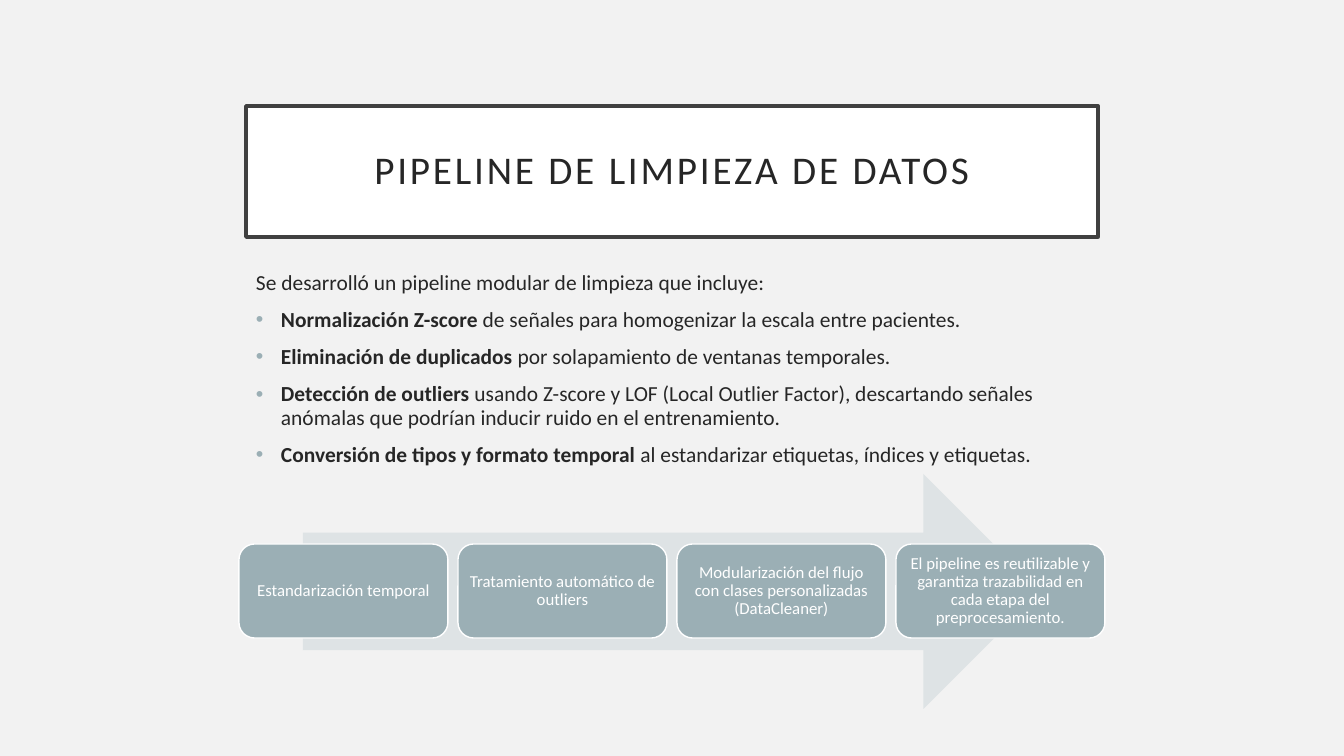
import pptx
import pptx.dml.color
import pptx.enum.shapes
import pptx.enum.text
import pptx.util
from lxml import etree
from pptx.oxml.ns import qn

RGBColor = pptx.dml.color.RGBColor
Shape = pptx.enum.shapes.MSO_SHAPE
Align = pptx.enum.text.PP_ALIGN
Anchor = pptx.enum.text.MSO_ANCHOR

BACKGROUND = RGBColor(0xF2, 0xF2, 0xF2)
WHITE = RGBColor(0xFF, 0xFF, 0xFF)
FRAME = RGBColor(0x40, 0x40, 0x40)
INK = RGBColor(0x26, 0x26, 0x26)
ACCENT = RGBColor(0x9B, 0xAF, 0xB5)
PALE_ACCENT = RGBColor(0xDE, 0xE3, 0xE5)

TITLE = "PIPELINE DE LIMPIEZA DE DATOS"
INTRO = "Se desarrolló un pipeline modular de limpieza que incluye:"
CLEANING_STEPS = [
    ("Normalización Z-score",
     " de señales para homogenizar la escala entre pacientes."),
    ("Eliminación de duplicados",
     " por solapamiento de ventanas temporales."),
    ("Detección de outliers",
     " usando Z-score y LOF (Local Outlier Factor), descartando señales "
     "anómalas que podrían inducir ruido en el entrenamiento."),
    ("Conversión de tipos y formato temporal",
     " al estandarizar etiquetas, índices y etiquetas."),
]
STAGES = [
    "Estandarización temporal",
    "Tratamiento automático de outliers",
    "Modularización del flujo con clases personalizadas (DataCleaner)",
    "El pipeline es reutilizable y garantiza trazabilidad en cada etapa "
    "del preprocesamiento.",
]


def px(length):
    """Turn px at 100.8 to the inch into EMU."""
    return pptx.util.Emu(round(length * 914400 / 100.8))


def write(paragraph, text, *, size, color, font="Calibri", bold=False,
          align=None, tracking=0):
    """Add a run to the paragraph; tracking is in points."""
    paragraph.line_spacing = 0.9
    if align is not None:
        paragraph.alignment = align
    run = paragraph.add_run()
    run.text = text
    run.font.name = font
    run.font.size = pptx.util.Pt(size)
    run.font.bold = bold
    run.font.color.rgb = color
    if tracking:
        run.font._element.set("spc", str(tracking * 100))


def add_bullet(paragraph, color, indent):
    properties = paragraph._p.get_or_add_pPr()
    properties.set("marL", str(indent))
    properties.set("indent", str(-indent))
    bullet_color = etree.SubElement(properties, qn("a:buClr"))
    etree.SubElement(bullet_color, qn("a:srgbClr"), val=str(color))
    etree.SubElement(properties, qn("a:buFont"), typeface="Arial")
    etree.SubElement(properties, qn("a:buChar"), char="•")


class PipelineSlide:
    def __init__(self, presentation):
        self.slide = presentation.slides.add_slide(presentation.slide_layouts[5])
        self.slide.background.fill.solid()
        self.slide.background.fill.fore_color.rgb = BACKGROUND

    def paint(self, shape, fill, line=None, width=1):
        shape.fill.solid()
        shape.fill.fore_color.rgb = fill
        if line is None:
            shape.line.fill.background()
        else:
            shape.line.color.rgb = line
            shape.line.width = pptx.util.Pt(width)

    def frame(self, shape, inset):
        """Prepare a wrapped, centred text frame with equal insets."""
        frame = shape.text_frame
        frame.word_wrap = True
        frame.auto_size = pptx.enum.text.MSO_AUTO_SIZE.NONE
        frame.vertical_anchor = Anchor.MIDDLE
        frame.margin_left = frame.margin_right = px(inset)
        frame.margin_top = frame.margin_bottom = px(inset)
        return frame

    def title(self, text, left, top, width, height):
        title = self.slide.shapes.title
        title.left, title.top = px(left), px(top)
        title.width, title.height = px(width), px(height)
        self.paint(title, WHITE, FRAME, 2.5)
        write(self.frame(title, 20).paragraphs[0], text, size=28, color=INK,
              align=Align.CENTER, tracking=2)

    def summary(self, intro, steps, left, top, width, height):
        box = self.slide.shapes.add_textbox(px(left), px(top), px(width), px(height))
        frame = box.text_frame
        frame.word_wrap = True
        write(frame.paragraphs[0], intro, size=15.3, color=INK)
        for name, detail in steps:
            paragraph = frame.add_paragraph()
            paragraph.space_before = pptx.util.Pt(10)
            write(paragraph, name, size=15.3, color=INK, bold=True)
            write(paragraph, detail, size=15.3, color=INK)
            add_bullet(paragraph, ACCENT, px(25))

    def block(self, kind, left, top, width, height, fill, line=None):
        block = self.slide.shapes.add_shape(
            kind, px(left), px(top), px(width), px(height))
        block.shadow.inherit = False
        self.paint(block, fill, line)
        return block

    def stage(self, text, left, top, width, height):
        block = self.block(Shape.ROUNDED_RECTANGLE, left, top, width, height,
                           ACCENT, WHITE)
        write(self.frame(block, 5).paragraphs[0], text, size=12, color=WHITE,
              align=Align.CENTER)


def main():
    presentation = pptx.Presentation()
    presentation.slide_width = px(1344)
    presentation.slide_height = px(756)
    pipeline = PipelineSlide(presentation)
    pipeline.title(TITLE, 246, 106, 852, 131)
    pipeline.summary(INTRO, CLEANING_STEPS, 246, 267, 852, 203)
    pipeline.block(Shape.RIGHT_ARROW, 303, 474, 738, 235, PALE_ACCENT)
    stage_width, gap = 209, 10
    for position, text in enumerate(STAGES):
        pipeline.stage(text, 239 + position * (stage_width + gap), 544,
                       stage_width, 94)
    presentation.save("out.pptx")


if __name__ == "__main__":
    main()
